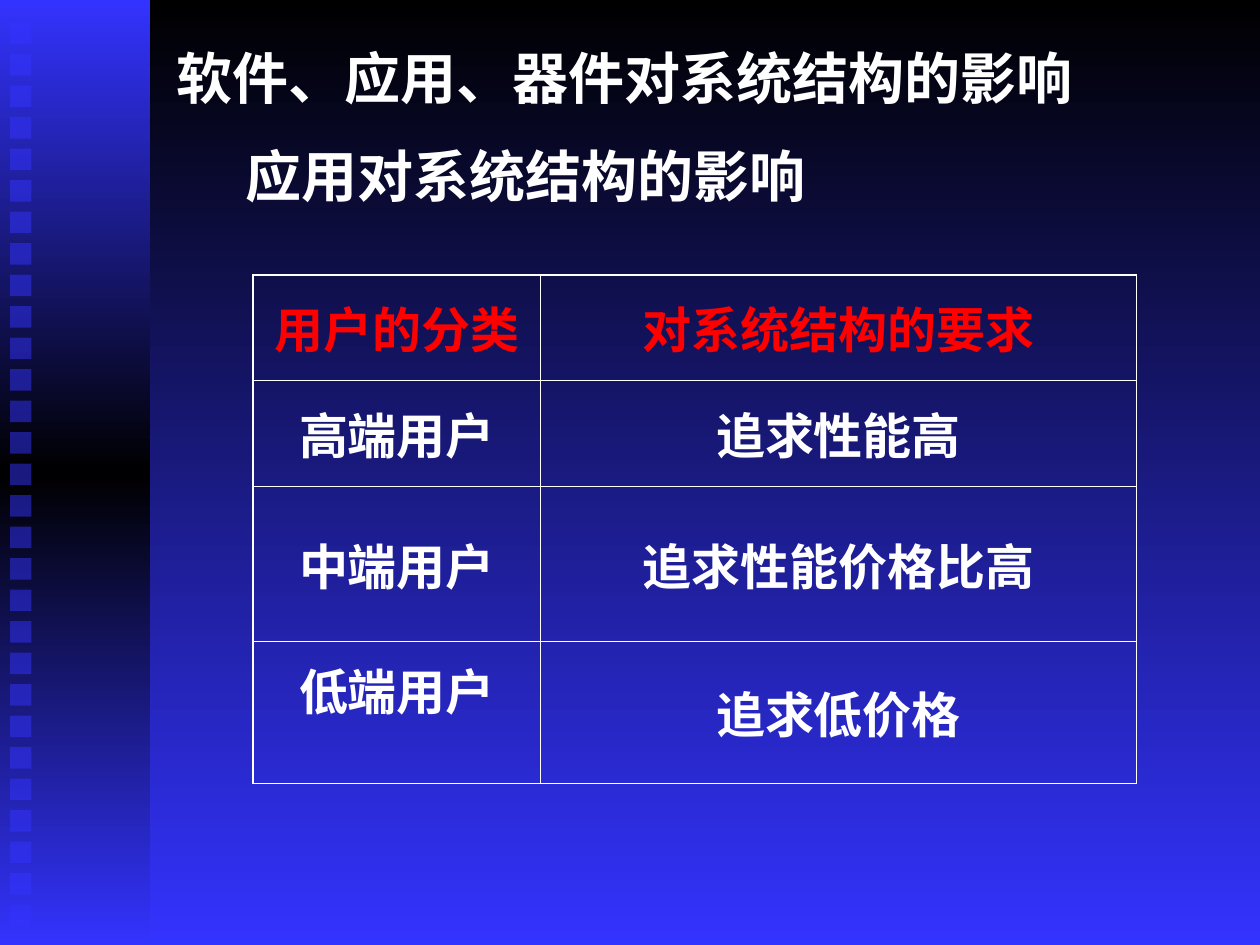
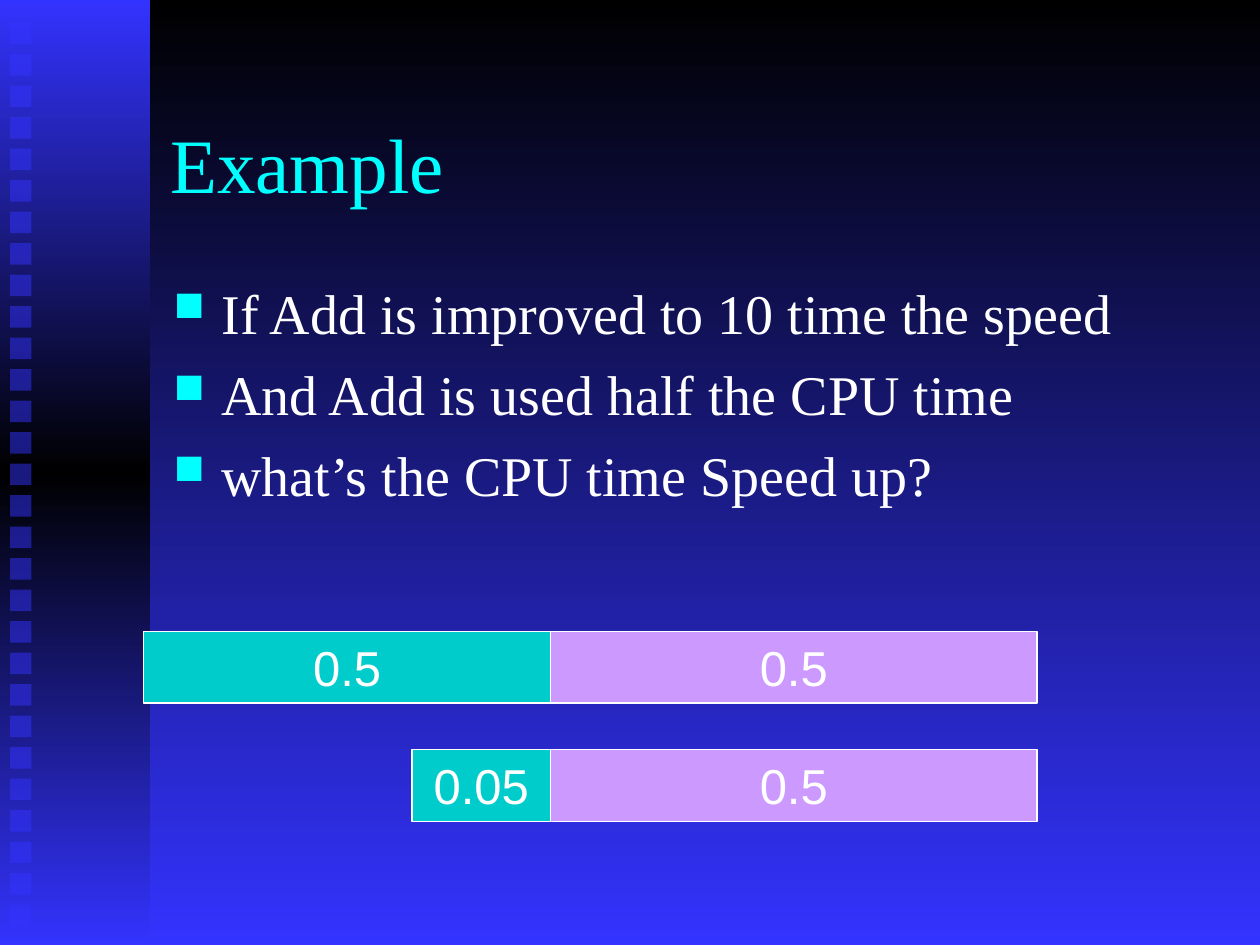
from lxml import etree
from pptx import Presentation
from pptx import util as u
from pptx.dml.color import RGBColor
from pptx.enum import shapes, text
from pptx.oxml.ns import qn

HUES = {"blue": "3333FF", "black": "000000", "white": "FFFFFF", "cyan": "00FFFF",
        "red": "FF0000", "teal": "00CCCC", "mauve": "CC99FF"}
SERIF, SANS = "Times New Roman", "Arial"
LEFT, MID = text.PP_ALIGN.LEFT, text.PP_ALIGN.CENTER


def rgb(hue):
    return RGBColor.from_string(HUES[hue])


def sub(node, tag, **attrs):
    return etree.SubElement(node, qn(tag), attrs)


class Deck:
    """Holds the deck style and the current slide."""

    def __init__(self):
        self.prs = Presentation()
        self.prs.slide_width, self.prs.slide_height = u.Inches(10), u.Inches(7.5)
        self.slide = None

    def blend(self, fill, node, hues):
        fill.gradient()
        fill.gradient_angle = 270
        stops = next(node.iter(qn("a:gsLst")))
        for stop in list(stops):
            stops.remove(stop)
        for i, hue in enumerate(hues):
            stop = sub(stops, "a:gs", pos=str(100000 * i // (len(hues) - 1)))
            sub(stop, "a:srgbClr", val=HUES[hue])

    def master(self):
        master = self.prs.slide_master
        self.blend(master.background.fill, master.element, ["black", "blue"])
        group = self.slide.shapes.add_group_shape()
        band = self.rect(0, 0, 1.19, 7.5, group=group)
        self.blend(band.fill, band.element, ["blue", "black", "blue"])
        for i in range(29):
            dot = self.rect(0.08, 0.18 + 0.25 * i, 0.17, 0.17, "blue", group)
            tint = next(dot.element.spPr.iter(qn("a:srgbClr")))
            sub(tint, "a:alpha", val="50000")
        master.shapes.element.insert(2, group.element)

    def page(self):
        self.slide = self.prs.slides.add_slide(self.prs.slide_layouts[5])

    def label(self, frame, lines, size, hue="white", bold=False, font=SERIF,
              align=LEFT, before=0):
        frame.text = "\n".join(lines)
        for para in frame.paragraphs:
            para.alignment = align
            para.space_before = u.Pt(before)
            for run in para.runs:
                run.font.size, run.font.name = u.Pt(size), font
                run.font.bold = bold
                run.font.color.rgb = rgb(hue)

    def title(self, words, x, y, w, h, size, hue="white", bold=False):
        box = self.slide.shapes.title
        box.left, box.top, box.width, box.height = map(u.Inches, (x, y, w, h))
        box.text_frame.vertical_anchor = text.MSO_ANCHOR.MIDDLE
        self.label(box.text_frame, [words], size, hue, bold)

    def body(self, lines, x, y, w, h, bold=False, bullet=False):
        frame = self.slide.shapes.add_textbox(*map(u.Inches, (x, y, w, h))).text_frame
        frame.word_wrap = True
        self.label(frame, lines, 32, bold=bold, before=8)
        if bullet:
            for para in frame.paragraphs:
                self.bullet(para)

    def bullet(self, para):
        props = para._p.get_or_add_pPr()
        dent = u.Inches(0.38)
        props.set("marL", str(dent))
        props.set("indent", str(-dent))
        sub(sub(props, "a:buClr"), "a:srgbClr", val=HUES["cyan"])
        sub(props, "a:buSzPct", val="75000")
        sub(props, "a:buChar", char="■")

    def rect(self, x, y, w, h, hue=None, group=None):
        kind = shapes.MSO_SHAPE.RECTANGLE
        box = (group or self.slide).shapes.add_shape(kind, *map(u.Inches, (x, y, w, h)))
        box.shadow.inherit = False
        box.line.fill.background()
        if hue:
            box.fill.solid()
            box.fill.fore_color.rgb = rgb(hue)
        return box

    def bar(self, words, x, y, w, hue):
        box = self.rect(x, y, w, 0.57, hue)
        box.line.color.rgb = rgb("white")
        box.line.width = u.Pt(0.75)
        box.text_frame.vertical_anchor = text.MSO_ANCHOR.TOP
        self.label(box.text_frame, [words], 28, font=SANS, align=MID, before=17.5)

    def table(self, rows, x, y, widths, heights):
        place = map(u.Inches, (x, y, sum(widths), sum(heights)))
        grid = self.slide.shapes.add_table(len(rows), len(widths), *place).table
        grid.first_row = grid.horz_banding = False
        for col, wide in zip(grid.columns, widths):
            col.width = u.Inches(wide)
        for r, (row, high) in enumerate(zip(rows, heights)):
            grid.rows[r].height = u.Inches(high)
            for c, words in enumerate(row):
                cell = grid.cell(r, c)
                cell.vertical_anchor = text.MSO_ANCHOR.MIDDLE
                hue = "white" if r else "red"
                self.label(cell.text_frame, [words], 28, hue, True, align=MID, before=7)
                cell.fill.background()
                self.edges(cell, {"L": c == 0, "R": c == len(row) - 1,
                                  "T": r == 0, "B": r == len(rows) - 1})
        return grid

    def edges(self, cell, sides):
        props = cell._tc.get_or_add_tcPr()
        for i, (side, outer) in enumerate(sides.items()):
            line = sub(props, "a:ln" + side, w=str(u.Pt(1.08 if outer else 0.45)))
            sub(sub(line, "a:solidFill"), "a:srgbClr", val=HUES["white"])
            props.insert(i, line)


def users(deck):
    deck.title("软件、应用、器件对系统结构的影响", 1.3, 0.21, 8.37, 0.8, 32, bold=True)
    deck.body(["应用对系统结构的影响"], 1.85, 1.07, 5.75, 0.79, bold=True)
    rows = [("用户的分类", "对系统结构的要求"),
            ("高端用户", "追求性能高"),
            ("中端用户", "追求性能价格比高"),
            ("低端用户", "追求低价格")]
    grid = deck.table(rows, 2.01, 2.18, [2.28, 4.73], [0.84, 0.84, 1.23, 1.13])
    low = grid.cell(3, 0)
    low.vertical_anchor = text.MSO_ANCHOR.TOP
    low.margin_top = u.Inches(0.1)


def example(deck):
    deck.title("Example", 1.25, 0.67, 8.5, 1.25, 44, "cyan")
    deck.body(["If Add is improved to 10 time the speed",
               "And Add is used half the CPU time",
               "what’s the CPU time Speed up?"], 1.28, 2.16, 8.5, 4.5, bullet=True)
    split = 4.37
    for y, words, wide in [(5.01, "0.5", 3.23), (5.95, "0.05", 1.1)]:
        deck.bar(words, split - wide, y, wide, "teal")
        deck.bar("0.5", split, y, 3.86, "mauve")


def main():
    deck = Deck()
    deck.page()
    deck.master()
    users(deck)
    deck.page()
    example(deck)
    deck.prs.save("out.pptx")


if __name__ == "__main__":
    main()
